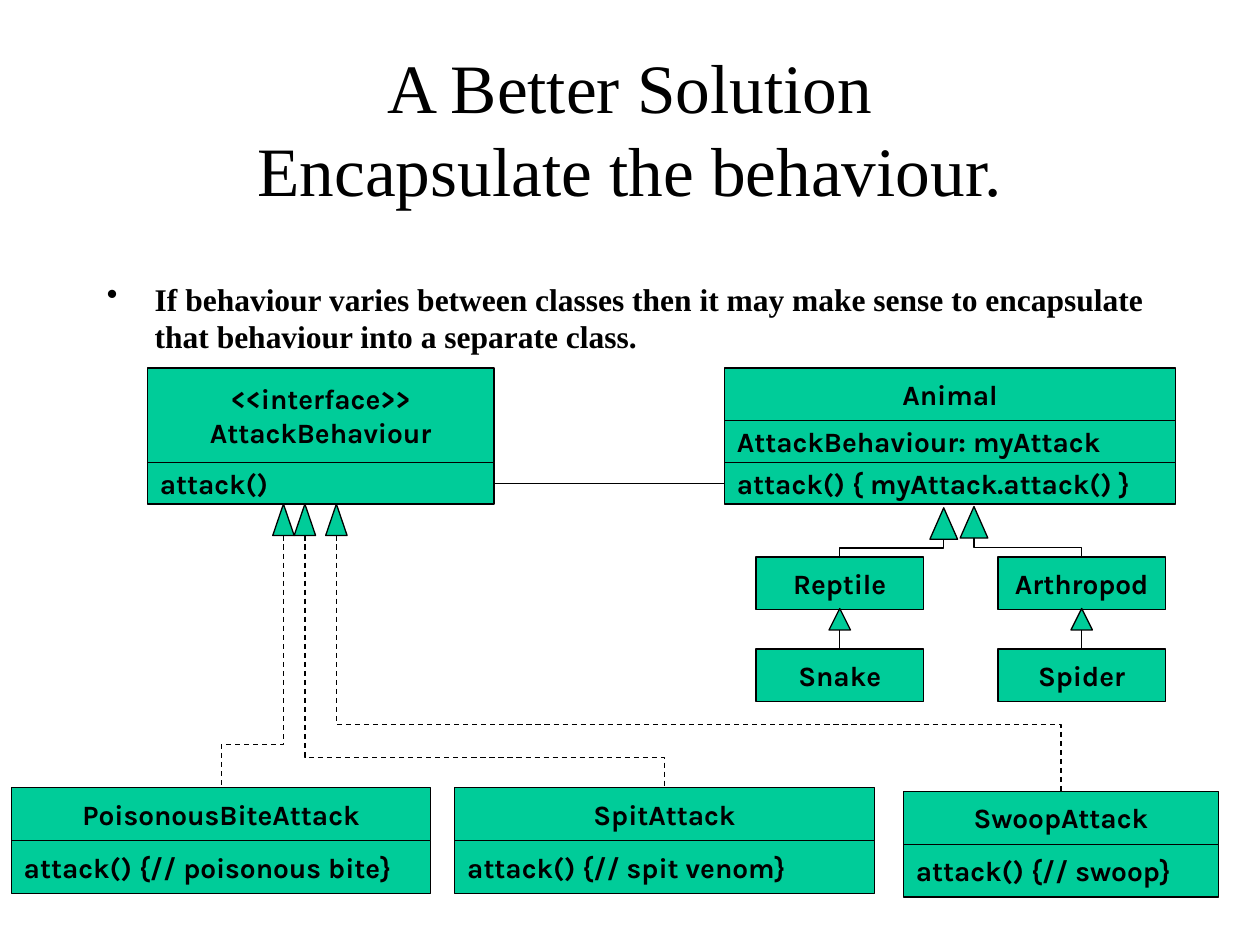
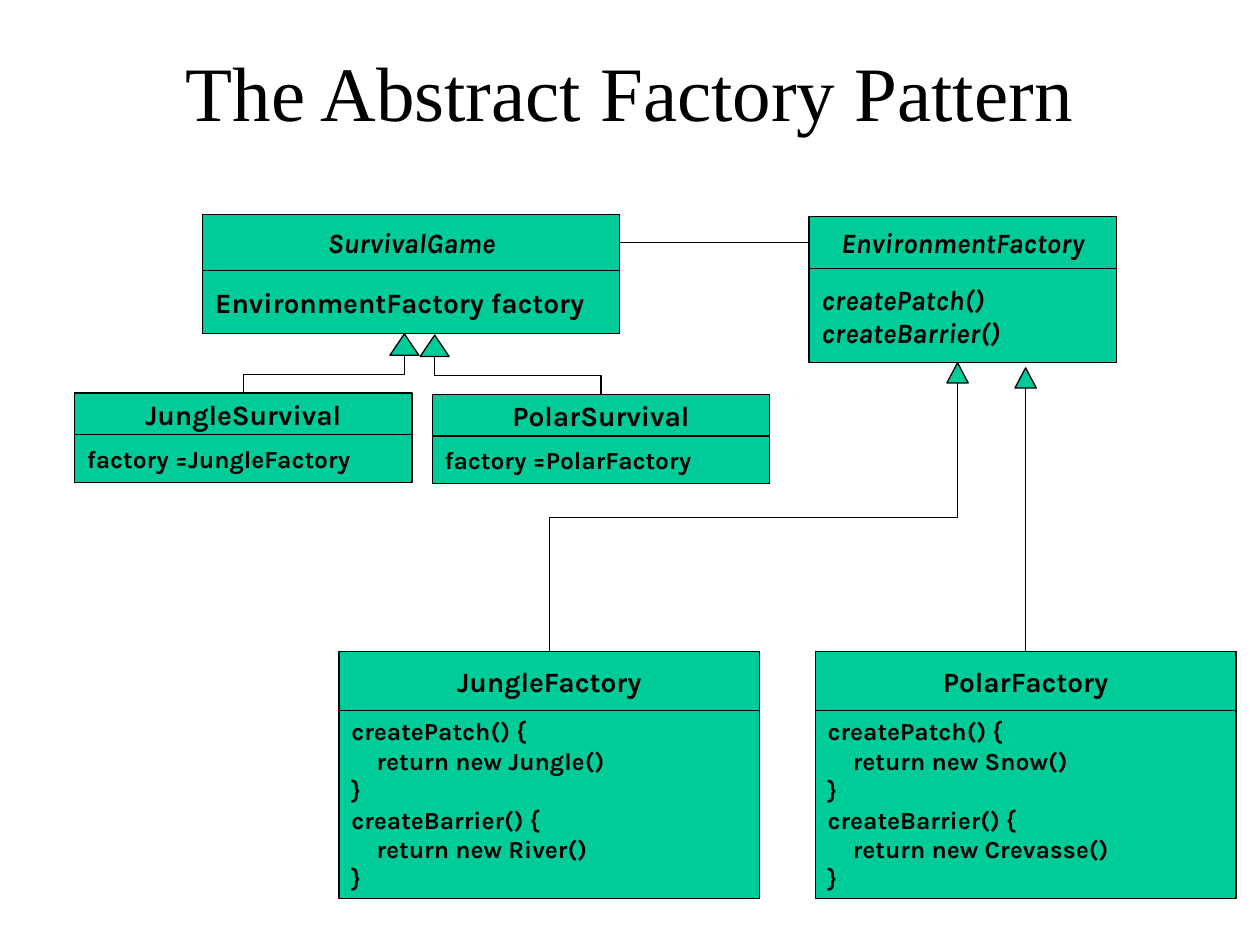
import pptx
import pptx.dml.color
import pptx.enum.dml
import pptx.enum.shapes
import pptx.enum.text
import pptx.oxml
import pptx.oxml.ns
import pptx.util
from dataclasses import dataclass
from typing import Optional

Inches = pptx.util.Inches
Pt = pptx.util.Pt
Align = pptx.enum.text.PP_ALIGN
Anchor = pptx.enum.text.MSO_ANCHOR
Shape = pptx.enum.shapes.MSO_SHAPE
Connector = pptx.enum.shapes.MSO_CONNECTOR

# Colours and lines
BLACK = pptx.dml.color.RGBColor(0x00, 0x00, 0x00)
GREEN = pptx.dml.color.RGBColor(0x00, 0xCC, 0x99)
LINE_WIDTH = Pt(0.75)

# Text formats
TITLE = {"name": "Times New Roman", "size": Pt(44)}
TWO_LINE_TITLE = TITLE | {"size": Pt(39.6)}
BULLET = TITLE | {"size": Pt(18), "bold": True}
NAME = {"name": "Karla", "size": Pt(16), "bold": True}
ABSTRACT = NAME | {"italic": True}
CODE = NAME | {"size": Pt(14)}
LINE_SPACING = 1.2
BULLET_INDENT = Inches(0.38)
CODE_INDENT = Inches(0.2)

# Connection sites of a rectangle, and turns of a connector
TOP, LEFT, RIGHT = 0, 1, 3
DEGREE = 60000


@dataclass(frozen=True)
class Row:
    """One compartment of a class box; a leading tab indents a line."""
    height: float
    text: str
    font: dict
    align: Align = Align.LEFT


@dataclass(frozen=True, eq=False)
class ClassBox:
    left: float
    top: float
    width: float
    rows: tuple[Row, ...]

    @property
    def middle(self) -> float:
        return self.left + self.width / 2


@dataclass(frozen=True)
class Inheritance:
    """A triangle below the parent and a line from it down to the child."""
    tip_x: float
    tip_y: float
    width: float
    height: float
    child: ClassBox
    bend: Optional[float] = 0.5  # share of the way down; None: straight
    dashed: bool = False


@dataclass(frozen=True)
class Association:
    """A line from the right side of one row to the left side of another."""
    user: ClassBox
    user_row: int
    used: ClassBox
    used_row: int


def heading(height: float, text: str, font: dict = NAME) -> Row:
    return Row(height, text, font, Align.CENTER)


# Text
def apply_font(font, values: dict) -> None:
    for attribute, value in values.items():
        setattr(font, attribute, value)
    font.color.rgb = BLACK


def drawing_xml(tag: str, attributes: str = ""):
    namespace = pptx.oxml.ns.nsdecls("a")
    return pptx.oxml.parse_xml(f"<a:{tag} {namespace} {attributes}/>")


def add_text(slide, left: float, top: float, width: float, height: float,
             text: str, values: dict):
    box = slide.shapes.add_textbox(*map(Inches, (left, top, width, height)))
    frame = box.text_frame
    frame.word_wrap = True
    frame.vertical_anchor = Anchor.TOP
    paragraph = frame.paragraphs[0]
    paragraph.text = text
    paragraph.line_spacing = Pt(values["size"].pt * LINE_SPACING)
    for run in paragraph.runs:
        apply_font(run.font, values)
    return paragraph


def add_title(slide, text: str, values: dict = TITLE) -> None:
    title = add_text(slide, 0.5, 0.3, 9, 1.25, text, values)
    title.alignment = Align.CENTER


def add_bullet(slide, text: str) -> None:
    bullet = add_text(slide, 0.75, 2.17, 8.5, 1.08, text, BULLET)
    properties = bullet._p.get_or_add_pPr()
    properties.set("marL", str(BULLET_INDENT))
    properties.set("indent", str(-BULLET_INDENT))
    properties.append(drawing_xml("buChar", 'char="•"'))


# Class boxes
def add_green_shape(slide, kind: Shape, left: float, top: float,
                    width: float, height: float):
    shape = slide.shapes.add_shape(
        kind, *map(Inches, (left, top, width, height)))
    shape.shadow.inherit = False
    shape.fill.solid()
    shape.fill.fore_color.rgb = GREEN
    shape.line.color.rgb = BLACK
    shape.line.width = LINE_WIDTH
    return shape


def write_row(frame, row: Row) -> None:
    frame.word_wrap = True
    frame.vertical_anchor = Anchor.MIDDLE
    for number, line in enumerate(row.text.split("\n")):
        paragraph = frame.add_paragraph() if number else frame.paragraphs[0]
        paragraph.alignment = row.align
        if line.startswith("\t"):
            paragraph._p.get_or_add_pPr().set("marL", str(CODE_INDENT))
        run = paragraph.add_run()
        run.text = line.lstrip("\t")
        apply_font(run.font, row.font)


def draw_class(slide, box: ClassBox) -> list:
    """Stack the rows and return their shapes from top to bottom."""
    shapes = []
    top = box.top
    for row in box.rows:
        shape = add_green_shape(slide, Shape.RECTANGLE, box.left, top,
                                box.width, row.height)
        write_row(shape.text_frame, row)
        shapes.append(shape)
        top += row.height
    return shapes


# Lines
def add_line(slide, kind: Connector, x1: float = 0, y1: float = 0,
             x2: float = 1, y2: float = 1):
    line = slide.shapes.add_connector(kind, *map(Inches, (x1, y1, x2, y2)))
    line.line.color.rgb = BLACK
    line.line.width = LINE_WIDTH
    line._element.spPr.append(drawing_xml("effectLst"))
    return line


def add_elbow(slide, x1: float, y1: float, x2: float, y2: float, bend: float):
    """Elbow that leaves downwards: a horizontal one turned a quarter."""
    across, down = abs(x2 - x1), y2 - y1
    left = (x1 + x2 - down) / 2
    top = (y1 + y2 - across) / 2
    elbow = add_line(slide, Connector.ELBOW, left, top,
                     left + down, top + across)
    properties = elbow._element.spPr
    transform = properties.find(pptx.oxml.ns.qn("a:xfrm"))
    to_right = x2 > x1
    transform.set("rot", str((270 if to_right else 90) * DEGREE))
    if to_right:
        transform.set("flipH", "1")
    guides = next(properties.iter(pptx.oxml.ns.qn("a:avLst")))
    guides.append(drawing_xml(
        "gd", f'name="adj1" fmla="val {round(bend * 100000)}"'))
    return elbow


def draw_inheritance(slide, link: Inheritance, child_heading) -> None:
    base_y = link.tip_y + link.height
    ends = (link.tip_x, base_y, link.child.middle, link.child.top)
    if link.bend is None:
        line = add_line(slide, Connector.STRAIGHT, *ends)
        line.end_connect(child_heading, TOP)
    else:
        line = add_elbow(slide, *ends, link.bend)
    if link.dashed:
        line.line.dash_style = pptx.enum.dml.MSO_LINE.DASH
    add_green_shape(slide, Shape.ISOSCELES_TRIANGLE,
                    link.tip_x - link.width / 2, link.tip_y,
                    link.width, link.height)


def draw_diagram(slide, boxes: list[ClassBox], links: list[Inheritance],
                 association: Association) -> None:
    rows = {box: draw_class(slide, box) for box in boxes}
    for link in links:
        draw_inheritance(slide, link, rows[link.child][0])
    line = add_line(slide, Connector.STRAIGHT)
    line.begin_connect(rows[association.user][association.user_row], RIGHT)
    line.end_connect(rows[association.used][association.used_row], LEFT)


# Slide 1
def attack_class(left: float, top: float, width: float, name: str,
                 action: str) -> ClassBox:
    return ClassBox(left, top, width, (
        heading(0.42, name),
        Row(0.42, f"attack() {{// {action}}}", NAME)))


def animal_class(left: float, top: float, name: str) -> ClassBox:
    return ClassBox(left, top, 1.33, (heading(0.42, name),))


def build_better_solution(slide) -> None:
    add_title(slide, "A Better Solution\vEncapsulate the behaviour.",
              TWO_LINE_TITLE)
    add_bullet(slide, "If behaviour varies between classes then it may make "
                      "sense to encapsulate that behaviour into a separate "
                      "class.")

    # Attack behaviours
    behaviour = ClassBox(1.17, 2.92, 2.75, (
        heading(0.75, "<<interface>>\nAttackBehaviour"),
        Row(0.33, "attack()", NAME)))
    bite = attack_class(0.09, 6.25, 3.33, "PoisonousBiteAttack",
                        "poisonous bite")
    spit = attack_class(3.61, 6.25, 3.33, "SpitAttack", "spit venom")
    swoop = attack_class(7.17, 6.28, 2.5, "SwoopAttack", "swoop")

    # Animals: kinds above, their species below
    animal = ClassBox(5.75, 2.92, 3.58, (
        heading(0.42, "Animal"),
        Row(0.33, "AttackBehaviour: myAttack", NAME),
        Row(0.33, "attack() { myAttack.attack() }", NAME)))
    kind_top, species_top = 4.42, 5.15
    reptile = animal_class(6, kind_top, "Reptile")
    snake = animal_class(6, species_top, "Snake")
    arthropod = animal_class(7.92, kind_top, "Arthropod")
    spider = animal_class(7.92, species_top, "Spider")

    attack_links = [
        Inheritance(tip_x, 4, 0.17, 0.25, attack, bend, dashed=True)
        for tip_x, attack, bend in ((2.25, bite, 0.83), (2.42, spit, 0.88),
                                    (2.67, swoop, 0.74))]
    kind_links = [
        Inheritance(tip_x, tip_y, 0.22, 0.25, kind)
        for tip_x, tip_y, kind in ((7.49, 4.03, reptile),
                                   (7.73, 4.02, arthropod))]
    species_links = [
        Inheritance(species.middle, 4.83, 0.17, 0.17, species, bend=None)
        for species in (snake, spider)]
    draw_diagram(slide,
                 [behaviour, bite, spit, swoop,
                  animal, reptile, arthropod, snake, spider],
                 attack_links + kind_links + species_links,
                 Association(behaviour, 1, animal, 2))


# Slide 2
def survival_class(left: float, top: float, place: str) -> ClassBox:
    return ClassBox(left, top, 2.68, (
        heading(0.33, f"{place}Survival"),
        Row(0.38, f"factory ={place}Factory", CODE)))


def factory_class(left: float, place: str, patch: str,
                  barrier: str) -> ClassBox:
    code = "\n".join(
        f"create{part}() {{\n\treturn new {product}()\n}}"
        for part, product in (("Patch", patch), ("Barrier", barrier)))
    return ClassBox(left, 5.17, 3.34, (
        heading(0.47, f"{place}Factory"), Row(1.49, code, CODE)))


def build_abstract_factory(slide) -> None:
    add_title(slide, "The Abstract Factory Pattern")

    # Games
    game = ClassBox(1.61, 1.7, 3.31, (
        heading(0.45, "SurvivalGame", ABSTRACT),
        Row(0.5, "EnvironmentFactory factory", NAME)))
    jungle_game = survival_class(0.59, 3.12, "Jungle")
    polar_game = survival_class(3.43, 3.13, "Polar")

    # Factories
    environment = ClassBox(6.42, 1.72, 2.44, (
        heading(0.41, "EnvironmentFactory", ABSTRACT),
        Row(0.75, "createPatch()\ncreateBarrier()", ABSTRACT)))
    jungle = factory_class(2.69, "Jungle", "Jungle", "River")
    polar = factory_class(6.47, "Polar", "Snow", "Crevasse")

    links = [
        Inheritance(3.21, 2.65, 0.23, 0.17, jungle_game),
        Inheritance(3.45, 2.66, 0.23, 0.17, polar_game),
        Inheritance(7.6, 2.88, 0.17, 0.16, jungle),
        Inheritance(polar.middle, 2.92, 0.17, 0.16, polar, bend=None)]
    draw_diagram(slide,
                 [game, jungle_game, polar_game, environment, jungle, polar],
                 links, Association(game, 0, environment, 0))


def main() -> None:
    deck = pptx.Presentation()
    deck.slide_width, deck.slide_height = Inches(10), Inches(7.5)
    for build in (build_better_solution, build_abstract_factory):
        build(deck.slides.add_slide(deck.slide_layouts[6]))
    deck.save("out.pptx")


if __name__ == "__main__":
    main()
